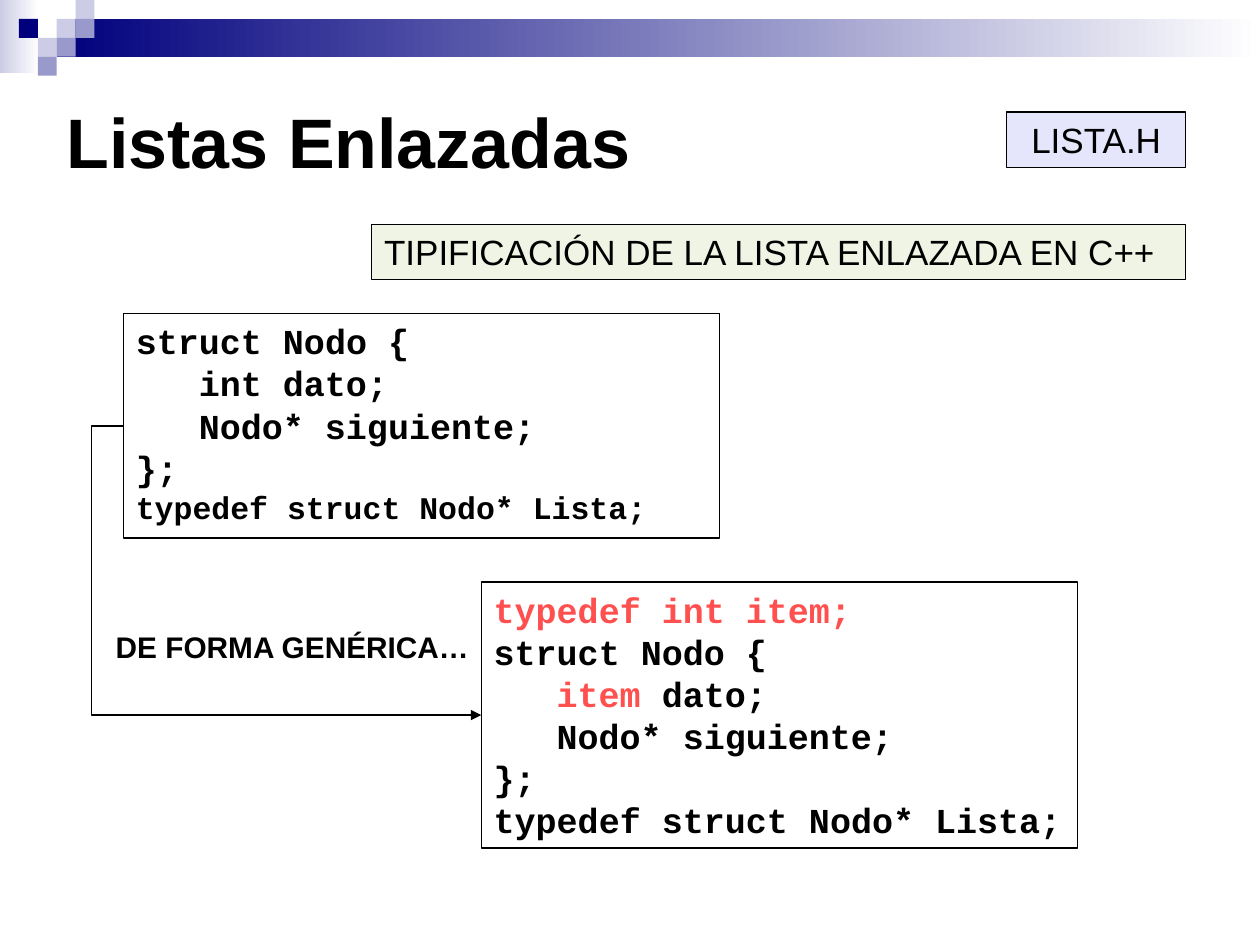
from dataclasses import dataclass
from typing import Optional

from lxml.etree import SubElement
from pptx import Presentation
from pptx.dml.color import RGBColor
from pptx.enum.shapes import MSO_CONNECTOR, MSO_SHAPE
from pptx.enum.text import MSO_ANCHOR, MSO_AUTO_SIZE, PP_ALIGN
from pptx.oxml.ns import qn
from pptx.util import Inches, Pt

BLACK, RED, NAVY, LILAC, VIOLET = "000000", "FF5050", "00007D", "CCCCE6", "9999CC"
STEP = 0.15  # side of a header square


@dataclass
class Run:
    text: str
    color: str = BLACK
    size: Optional[float] = None


@dataclass
class Box:
    at: tuple
    lines: list
    size: float = 20
    font: str = "Arial"
    bold: bool = False
    fill: Optional[str] = None
    outline: bool = True
    align: PP_ALIGN = PP_ALIGN.LEFT
    anchor: MSO_ANCHOR = MSO_ANCHOR.TOP
    wrap: bool = True


def rgb(value: str) -> RGBColor:
    return RGBColor.from_string(value)


def add_rect(s, at: tuple):
    sp = s.shapes.add_shape(MSO_SHAPE.RECTANGLE, *map(Inches, at))
    sp.shadow.inherit = False
    sp.line.fill.background()
    return sp


def add_square(s, at: tuple, color: str) -> None:
    sp = add_rect(s, (*at, STEP, STEP))
    sp.fill.solid()
    sp.fill.fore_color.rgb = rgb(color)


def add_fade(s, at: tuple, color: str) -> None:
    """Rectangle that fades from a colour to white, left to right."""
    fill = add_rect(s, at).fill
    fill.gradient()
    fill.gradient_angle = 0
    for stop, value, position in zip(fill.gradient_stops, (color, "FFFFFF"), (0, 1)):
        stop.color.rgb = rgb(value)
        stop.position = position


def fill_text(sp, box: Box) -> None:
    tf = sp.text_frame
    frame = {"word_wrap": box.wrap, "auto_size": MSO_AUTO_SIZE.NONE,
             "vertical_anchor": box.anchor}
    for name, value in frame.items():
        setattr(tf, name, value)
    for i, line in enumerate(box.lines):
        p = tf.paragraphs[0] if i == 0 else tf.add_paragraph()
        p.alignment = box.align
        for part in line:
            r = p.add_run()
            r.text = part.text
            style = {"name": box.font, "size": Pt(part.size or box.size), "bold": box.bold}
            for name, value in style.items():
                setattr(r.font, name, value)
            r.font.color.rgb = rgb(part.color)


def add_box(s, box: Box):
    if box.outline:
        sp = add_rect(s, box.at)
        sp.line.color.rgb = rgb(BLACK)
        sp.line.width = Pt(0.75)
        sp.fill.background()
    else:
        sp = s.shapes.add_textbox(*map(Inches, box.at))
    if box.fill:
        sp.fill.solid()
        sp.fill.fore_color.rgb = rgb(box.fill)
        color = sp.fill._xPr.find(qn("a:solidFill"))[0]
        SubElement(color, qn("a:alpha"), val="10000")
    fill_text(sp, box)
    return sp


def add_elbow_arrow(s, start, end, bend: float) -> None:
    """Arrow between two left sides; bend is a share of its width."""
    cx = s.shapes.add_connector(MSO_CONNECTOR.ELBOW, 0, 0, 0, 0)
    cx.begin_connect(start, 1)
    cx.end_connect(end, 1)
    cx.line.color.rgb = rgb(BLACK)
    cx.line.width = Pt(0.75)
    sp_pr = cx._element.spPr
    guides = sp_pr.find(qn("a:prstGeom")).get_or_add_avLst()
    SubElement(guides, qn("a:gd"), name="adj1", fmla=f"val {round(bend * 100000)}")
    SubElement(cx.line._get_or_add_ln(), qn("a:tailEnd"), type="triangle")
    SubElement(sp_pr, qn("a:effectLst"))


def add_header(s) -> None:
    add_fade(s, (0, 0, 0.31, 0.58), LILAC)
    add_fade(s, (0.45, STEP, 9.55, 0.3), NAVY)
    squares = [(3, 1, LILAC), (4, 0, LILAC), (4, 1, VIOLET), (2, 2, LILAC),
               (1, 1, NAVY), (3, 2, VIOLET), (2, 3, VIOLET)]
    for column, row, color in squares:
        add_square(s, (column * STEP, row * STEP), color)


def main() -> None:
    prs = Presentation()
    prs.slide_width, prs.slide_height = Inches(10), Inches(7.5)
    s = prs.slides.add_slide(prs.slide_layouts[6])
    add_header(s)

    add_box(s, Box((0.43, 0.68, 9, 0.87), [[Run("Listas Enlazadas")]], size=40,
                   bold=True, outline=False, anchor=MSO_ANCHOR.MIDDLE))
    add_box(s, Box((2.95, 1.78, 6.46, 0.44),
                   [[Run("TIPIFICACIÓN DE LA LISTA ENLAZADA EN C++")]], fill="669900"))

    code = {"font": "Courier New", "bold": True}
    opening, following, closing = (
        [Run(text)] for text in ("struct Nodo {", "\tNodo* siguiente;", "};"))
    alias = "typedef struct Nodo* Lista;"
    int_list = add_box(s, Box(
        (0.98, 2.49, 4.73, 1.78),
        [opening, [Run("\tint dato;")], following, closing, [Run(alias, size=18)]], **code))
    generic_list = add_box(s, Box(
        (3.82, 4.62, 4.73, 2.11),
        [[Run("typedef int item;", RED)], opening,
         [Run("\t"), Run("item", RED), Run(" dato;")],
         following, closing, [Run(alias)]], **code))

    add_elbow_arrow(s, int_list, generic_list, bend=-0.09)
    add_box(s, Box((0.82, 4.94, 3.03, 0.39), [[Run("DE FORMA GENÉRICA…")]], size=17,
                   bold=True, outline=False, wrap=False))
    add_box(s, Box((7.99, 0.89, 1.42, 0.44), [[Run("LISTA.H")]], fill="0000E4",
                   align=PP_ALIGN.CENTER))
    prs.save("out.pptx")


if __name__ == "__main__":
    main()
